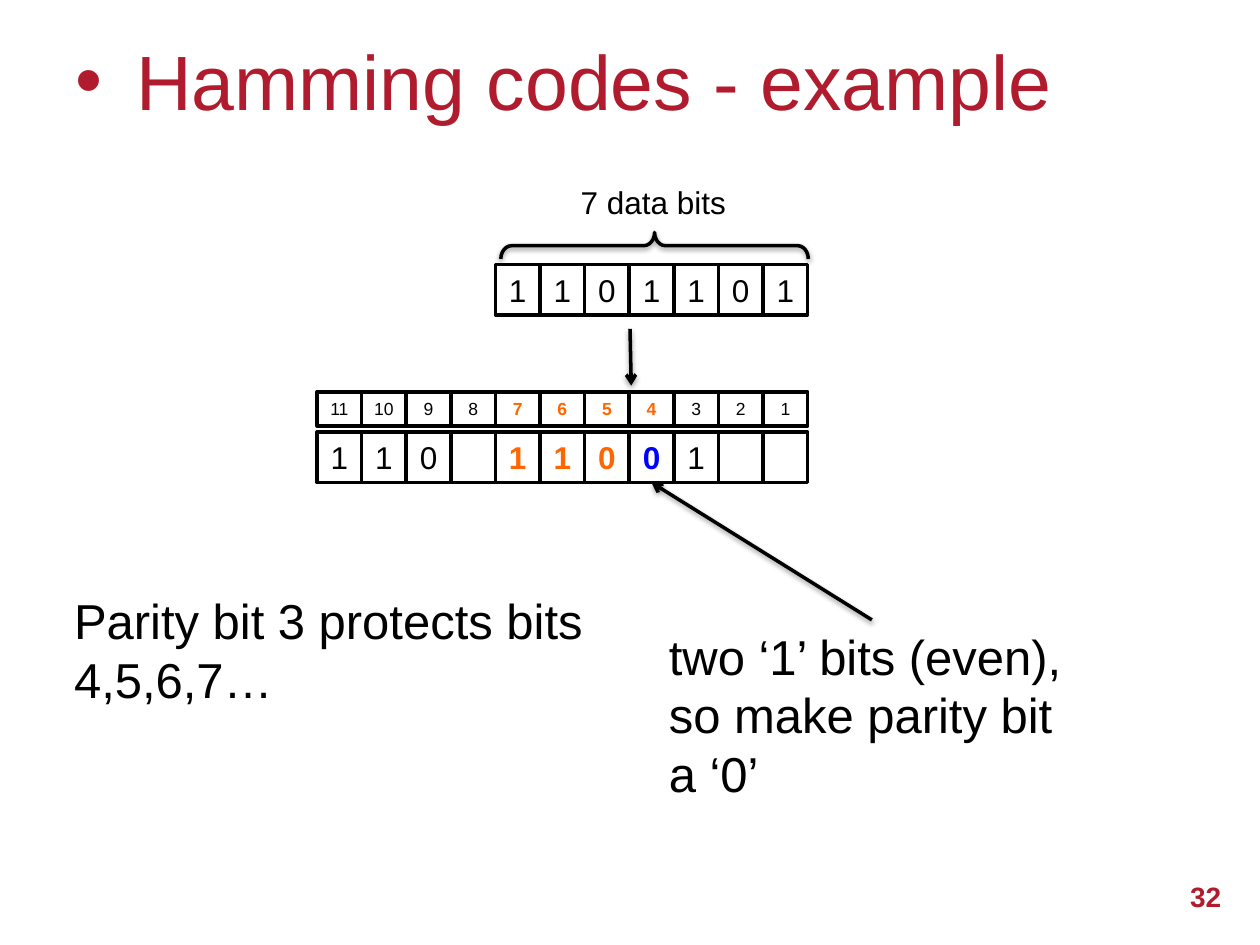
"""Build the Hamming code example slide on the third parity bit."""
from lxml import etree
from pptx import Presentation, util as u
from pptx.dml.color import RGBColor
from pptx.enum import shapes, text
from pptx.oxml.ns import qn

THEME = dict(font="Arial", black="000000", white="FFFFFF", red="B01C2E",
             orange="FF6600", blue="0000FF", title=44, body=28, bit=18,
             index=10, number=16, line=2)

TITLE = "Hamming codes - example"
DATA_BITS = "1101101"
CODE_BITS = ["1", "1", "0", "", "1", "1", "0", "0", "1", "", ""]
POSITIONS = [str(n) for n in range(11, 0, -1)]
CODE_COLORS = {4: "orange", 5: "orange", 6: "orange", 7: "blue"}
POSITION_COLORS = {i: "orange" for i in range(4, 8)}
LABELS = [
    ("7 data bits", (4.51, 1.4, 1.36, 0.4), "bit", False),
    ("Parity bit 3 protects bits 4,5,6,7…", (0.49, 4.64, 4.26, 1.04), "body", True),
    ("two ‘1’ bits (even), so make parity bit a ‘0’", (5.21, 4.92, 3.42, 1.51), "body", True),
]
RIGHT, PITCH = 6.41, 0.354
PARITY_CELL = 7


def inches(*values):
    return [u.Inches(v) for v in values]


def rgb(name):
    return RGBColor.from_string(THEME[name])


def write(tf, words, size, color="black", bold=False, align=text.PP_ALIGN.LEFT):
    tf.auto_size = text.MSO_AUTO_SIZE.NONE
    p = tf.paragraphs[0]
    p.text = words
    p.alignment = align
    for r in p.runs:
        r.font.name, r.font.size = THEME["font"], u.Pt(THEME[size])
        r.font.bold, r.font.color.rgb = bold, rgb(color)
    return p


def outline(sp):
    sp.line.color.rgb, sp.line.width = rgb("black"), u.Pt(THEME["line"])


def soft_shadow(sp):
    effects = etree.SubElement(sp.element.spPr, qn("a:effectLst"))
    shadow = etree.SubElement(effects, qn("a:outerShdw"), blurRad=str(u.Pt(3.1)),
                              dist=str(u.Pt(1.6)), dir="5400000", rotWithShape="0")
    color = etree.SubElement(shadow, qn("a:srgbClr"), val=THEME["black"])
    etree.SubElement(color, qn("a:alpha"), val="38000")


def cell_row(parent, values, top, height, size, colors):
    left = RIGHT - PITCH * len(values)
    cells = []
    for i, value in enumerate(values):
        sp = parent.add_shape(shapes.MSO_SHAPE.RECTANGLE,
                              *inches(left + i * PITCH, top, PITCH, height))
        sp.shadow.inherit = False
        sp.fill.solid()
        sp.fill.fore_color.rgb = rgb("white")
        outline(sp)
        tf = sp.text_frame
        tf.margin_left = tf.margin_right = tf.margin_top = tf.margin_bottom = 0
        tf.vertical_anchor = text.MSO_ANCHOR.MIDDLE
        write(tf, value, size, colors.get(i, "black"), i in colors, text.PP_ALIGN.CENTER)
        cells.append(sp)
    return cells


def arrow(s, start, end):
    sp = s.shapes.add_connector(shapes.MSO_CONNECTOR.STRAIGHT, *inches(*start, *end))
    outline(sp)
    etree.SubElement(sp.line._get_or_add_ln(), qn("a:tailEnd"), type="arrow")
    soft_shadow(sp)
    return sp


def add_title(s):
    sp = s.shapes.title
    sp.left, sp.top, sp.width, sp.height = inches(0.5, 0.01, 9, 1.25)
    sp.text_frame.vertical_anchor = text.MSO_ANCHOR.MIDDLE
    p = write(sp.text_frame, TITLE, "title", "red")
    pPr = p._p.get_or_add_pPr()
    pPr.set("marL", str(u.Inches(0.48)))
    pPr.set("indent", str(u.Inches(-0.48)))
    etree.SubElement(pPr, qn("a:buFont"), typeface=THEME["font"])
    etree.SubElement(pPr, qn("a:buChar"), char="•")


def add_brace(s):
    sp = s.shapes.add_shape(shapes.MSO_SHAPE.LEFT_BRACE, *inches(5.09, 0.73, 0.21, 2.44))
    sp.rotation = 90
    sp.adjustments[0], sp.adjustments[1] = 0.408, 0.5
    sp.fill.background()
    outline(sp)
    soft_shadow(sp)


def main():
    prs = Presentation()
    prs.slide_width, prs.slide_height = inches(10, 7.5)
    s = prs.slides.add_slide(prs.slide_layouts[5])
    add_title(s)

    cell_row(s.shapes, DATA_BITS, 2.1, 0.4, "bit", {})
    code = cell_row(s.shapes, CODE_BITS, 3.43, 0.4, "bit", CODE_COLORS)
    header = s.shapes.add_group_shape()
    cell_row(header.shapes, POSITIONS, 3.11, 0.27, "index", POSITION_COLORS)

    add_brace(s)
    arrow(s, (5, 2.61), (5.01, 3.06))
    arrow(s, (6.92, 4.92), (5.18, 3.83)).end_connect(code[PARITY_CELL], 2)

    for words, box, size, wrap in LABELS:
        tf = s.shapes.add_textbox(*inches(*box)).text_frame
        tf.word_wrap = wrap
        write(tf, words, size)

    tf = s.shapes.add_textbox(*inches(9.02, 6.85, 0.77, 0.52)).text_frame
    tf.word_wrap = True
    tf.vertical_anchor = text.MSO_ANCHOR.MIDDLE
    write(tf, "32", "number", "red", True, text.PP_ALIGN.RIGHT)
    prs.save("out.pptx")


if __name__ == "__main__":
    main()
